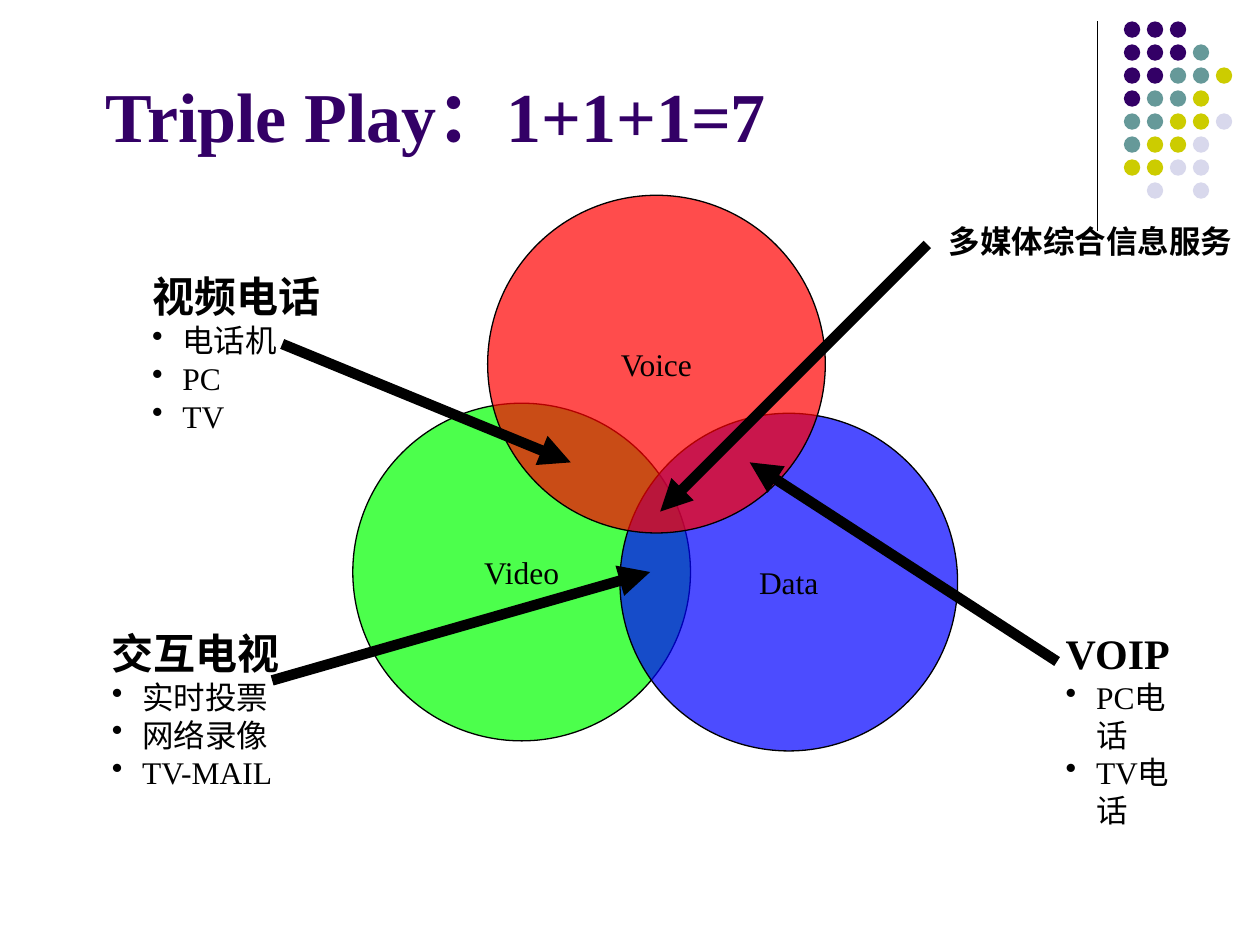
from dataclasses import dataclass

from lxml import etree
from pptx import Presentation
from pptx.dml.color import RGBColor
from pptx.enum.shapes import MSO_CONNECTOR, MSO_SHAPE
from pptx.enum.text import MSO_ANCHOR, MSO_AUTO_SIZE, PP_ALIGN
from pptx.oxml.ns import qn
from pptx.util import Inches, Pt

OVAL = MSO_SHAPE.OVAL
STRAIGHT = MSO_CONNECTOR.STRAIGHT
CENTER, LEFT = PP_ALIGN.CENTER, PP_ALIGN.LEFT
MIDDLE, BOTTOM = MSO_ANCHOR.MIDDLE, MSO_ANCHOR.BOTTOM
FIT, FIXED = MSO_AUTO_SIZE.SHAPE_TO_FIT_TEXT, MSO_AUTO_SIZE.NONE
COLUMNS, ROWS = 100, 75
CELL = Inches(0.1)


@dataclass(frozen=True)
class Theme:
    font: str = "Times New Roman"
    ink: str = "000000"
    purple: str = "330066"
    teal: str = "669999"
    olive: str = "CCCC00"
    mist: str = "D8D8EC"
    red: str = "FF0000"
    green: str = "00FF00"
    blue: str = "0000FF"
    title: int = 40
    heading: int = 24
    body: int = 18
    thin: float = 0.75
    thick: float = 6
    opacity: int = 70


THEME = Theme()


def cells(*values):
    return [round(v * CELL) for v in values]


def rgb(color):
    return RGBColor.from_string(color)


def add_run(p, text, size, color=THEME.ink, bold=False):
    r = p.add_run()
    r.text = text
    r.font.name = THEME.font
    r.font.size = Pt(size)
    r.font.bold = bold
    r.font.color.rgb = rgb(color)


def add_line(s, start, end, width, arrow=False):
    line = s.shapes.add_connector(STRAIGHT, *cells(*start, *end))
    line.line.color.rgb = rgb(THEME.ink)
    line.line.width = Pt(width)
    if arrow:
        etree.SubElement(line.line._get_or_add_ln(), qn("a:tailEnd"), type="triangle")
    etree.SubElement(line._element.spPr, qn("a:effectLst"))


def add_circle(shapes, x, y, size, color):
    sp = shapes.add_shape(OVAL, *cells(x, y, size, size))
    sp.shadow.inherit = False
    sp.fill.solid()
    sp.fill.fore_color.rgb = rgb(color)
    return sp


def add_title(s, box, text):
    sp = s.shapes.title
    sp.left, sp.top, sp.width, sp.height = cells(*box)
    tf = sp.text_frame
    tf.auto_size = FIXED
    tf.vertical_anchor = BOTTOM
    p = tf.paragraphs[0]
    p.alignment = LEFT
    add_run(p, text, THEME.title, THEME.purple, True)


def add_ornament(s, box):
    x, y, w, h = box
    add_line(s, (x, y), (x, y + h), THEME.thin)
    colors = {"P": THEME.purple, "T": THEME.teal, "O": THEME.olive, "M": THEME.mist}
    pattern = ["PPP", "PPPT", "PPTTO", "PTTO", "TTOOM", "TOOM", "OOMM", " M M"]
    size, indent = 1.3, 2.1
    pitch = (w - indent - size) / 4
    group = s.shapes.add_group_shape()
    for row, marks in enumerate(pattern):
        for col, mark in enumerate(marks):
            if mark in colors:
                add_circle(group.shapes, x + indent + col * pitch, y + row * pitch,
                           size, colors[mark]).line.fill.background()


def add_venn(s, box):
    x, y, w, h = box
    size = 26.8
    circles = [("Video", 0, 16.5, THEME.green),
               ("Data", w - size, h - size, THEME.blue),
               ("Voice", 10.7, 0, THEME.red)]
    for name, dx, dy, color in circles:
        sp = add_circle(s.shapes, x + dx, y + dy, size, color)
        etree.SubElement(sp.fill._xPr.find(f".//{qn('a:srgbClr')}"), qn("a:alpha"),
                         val=str(THEME.opacity * 1000))
        sp.line.color.rgb = rgb(THEME.ink)
        sp.line.width = Pt(THEME.thin)
        tf = sp.text_frame
        tf.word_wrap = False
        tf.vertical_anchor = MIDDLE
        p = tf.paragraphs[0]
        p.alignment = CENTER
        add_run(p, name, THEME.body)


def add_bullet(p):
    pPr = p._p.get_or_add_pPr()
    indent = Inches(0.24)
    pPr.set("marL", str(indent))
    pPr.set("indent", str(-indent))
    etree.SubElement(pPr, qn("a:buChar"), char="•")


def add_callout(s, box, heading, size, items=(), wrap=False):
    tf = s.shapes.add_textbox(*cells(*box)).text_frame
    tf.word_wrap = wrap
    tf.auto_size = FIT
    add_run(tf.paragraphs[0], heading, size, bold=True)
    for item in items:
        p = tf.add_paragraph()
        add_bullet(p)
        add_run(p, item, THEME.body)


def main():
    prs = Presentation()
    prs.slide_width, prs.slide_height = cells(COLUMNS, ROWS)
    s = prs.slides.add_slide(prs.slide_layouts[5])

    add_ornament(s, (87.1, 1.7, 10.7, 16.6))
    add_title(s, (7.4, 4.9, 77.6, 8), "Triple Play：1+1+1=7")
    add_venn(s, (28, 15.5, 48, 44.1))

    arrows = [((22.4, 27.3), (45.3, 36.7)), ((83.9, 52.5), (59.5, 36.7)),
              ((21.6, 54), (51.6, 45.4)), ((73.6, 19.4), (52.4, 40.6))]
    for start, end in arrows:
        add_line(s, start, end, THEME.thick, arrow=True)

    add_callout(s, (11.1, 21, 15.3, 14), "视频电话", THEME.heading,
                ["电话机", "PC", "TV"])
    add_callout(s, (7.9, 49.3, 15.3, 14), "交互电视", THEME.heading,
                ["实时投票", "网络录像", "TV-MAIL"])
    add_callout(s, (83.6, 49.3, 11.8, 11), "VOIP", THEME.heading,
                ["PC电话", "TV电话"], wrap=True)
    add_callout(s, (74.3, 17.1, 24.5, 4), "多媒体综合信息服务", THEME.body)

    prs.save("out.pptx")


if __name__ == "__main__":
    main()
